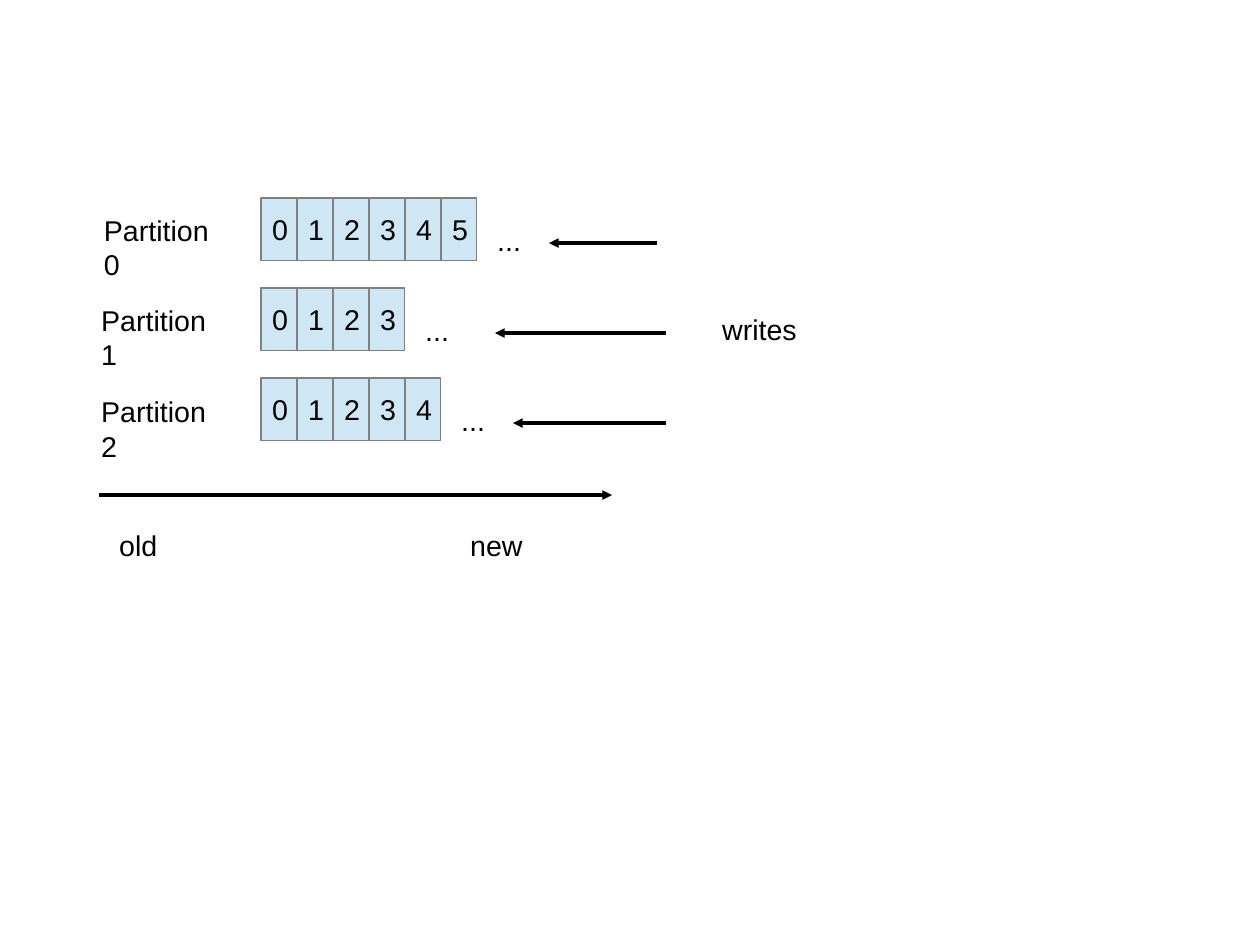
import pptx
import pptx.dml.color
import pptx.enum.shapes
import pptx.enum.text
import pptx.oxml
import pptx.oxml.ns
import pptx.util

Cm = pptx.util.Cm
Anchor = pptx.enum.text.MSO_ANCHOR
Align = pptx.enum.text.PP_ALIGN

COLORS = {"cell": "CFE7F5", "border": "808080", "ink": "000000"}
FONT = {"name": "Arial", "size": pptx.util.Pt(18)}

# Lengths are in centimetres.
PARTITIONS = [
    {"name": "Partition 0", "cells": 6, "label": (2.06, 4.6), "write": (14.6, 12.2)},
    {"name": "Partition 1", "cells": 4, "label": (2.0, 6.6), "write": (14.8, 11.0)},
    {"name": "Partition 2", "cells": 5, "label": (2.0, 8.64), "write": (14.8, 11.4)},
]
CAPTIONS = [  # text, left, top, width, wrap
    ("old", 2.4, 11.6, 2.0, True),
    ("new", 10.2, 11.6, 2.0, True),
    ("writes", 15.8, 6.8, 2.16, False),
]
TIMELINE = (2.2, 13.6, 11.0)

CELL_LEFT, CELL_WIDTH, CELL_HEIGHT = 5.8, 0.8, 1.4
FIRST_ROW, ROW_STEP = 4.4, 2.0
TEXT_HEIGHT = 0.96


def rgb(name):
    return pptx.dml.color.RGBColor.from_string(COLORS[name])


def write_text(shape, text, wrap, anchor, align):
    frame = shape.text_frame
    frame.word_wrap = wrap
    frame.vertical_anchor = anchor
    para = frame.paragraphs[0]
    para.text = text
    para.alignment = align
    for key, value in FONT.items():
        setattr(para.runs[0].font, key, value)
    para.runs[0].font.color.rgb = rgb("ink")


def add_label(page, text, left, top, width, wrap=False):
    box = page.shapes.add_textbox(Cm(left), Cm(top), Cm(width), Cm(TEXT_HEIGHT))
    write_text(box, text, wrap, Anchor.TOP, Align.LEFT)
    box.text_frame.auto_size = pptx.enum.text.MSO_AUTO_SIZE.SHAPE_TO_FIT_TEXT


def add_cell(page, text, left, top):
    cell = page.shapes.add_shape(
        pptx.enum.shapes.MSO_SHAPE.RECTANGLE,
        Cm(left), Cm(top), Cm(CELL_WIDTH), Cm(CELL_HEIGHT))
    cell.shadow.inherit = False
    cell.fill.solid()
    cell.fill.fore_color.rgb = rgb("cell")
    cell.line.color.rgb = rgb("border")
    cell.line.width = 0
    write_text(cell, text, True, Anchor.MIDDLE, Align.CENTER)


def add_arrow(page, start, end, height):
    """Draw a horizontal hairline with its arrowhead at end."""
    arrow = page.shapes.add_connector(
        pptx.enum.shapes.MSO_CONNECTOR.STRAIGHT,
        Cm(start), Cm(height), Cm(end), Cm(height))
    arrow.line.color.rgb = rgb("ink")
    arrow.line.width = 0
    head = pptx.oxml.parse_xml(
        f'<a:tailEnd {pptx.oxml.ns.nsdecls("a")} type="triangle"/>')
    arrow.line._get_or_add_ln().append(head)
    arrow._element.spPr.append(
        pptx.oxml.parse_xml(f'<a:effectLst {pptx.oxml.ns.nsdecls("a")}/>'))


def main():
    deck = pptx.Presentation()
    deck.slide_width, deck.slide_height = Cm(28), Cm(21)
    page = deck.slides.add_slide(deck.slide_layouts[6])

    for row, partition in enumerate(PARTITIONS):
        top = FIRST_ROW + row * ROW_STEP
        add_label(page, partition["name"], *partition["label"], 3.35)
        for index in range(partition["cells"]):
            add_cell(page, str(index), CELL_LEFT + index * CELL_WIDTH, top)
        cells_end = CELL_LEFT + partition["cells"] * CELL_WIDTH
        add_label(page, "...", cells_end + 0.2, top + 0.42, 1.04)
        add_arrow(page, *partition["write"], top + 1)

    add_arrow(page, *TIMELINE)
    for caption in CAPTIONS:
        add_label(page, *caption)

    deck.save("out.pptx")


if __name__ == "__main__":
    main()
